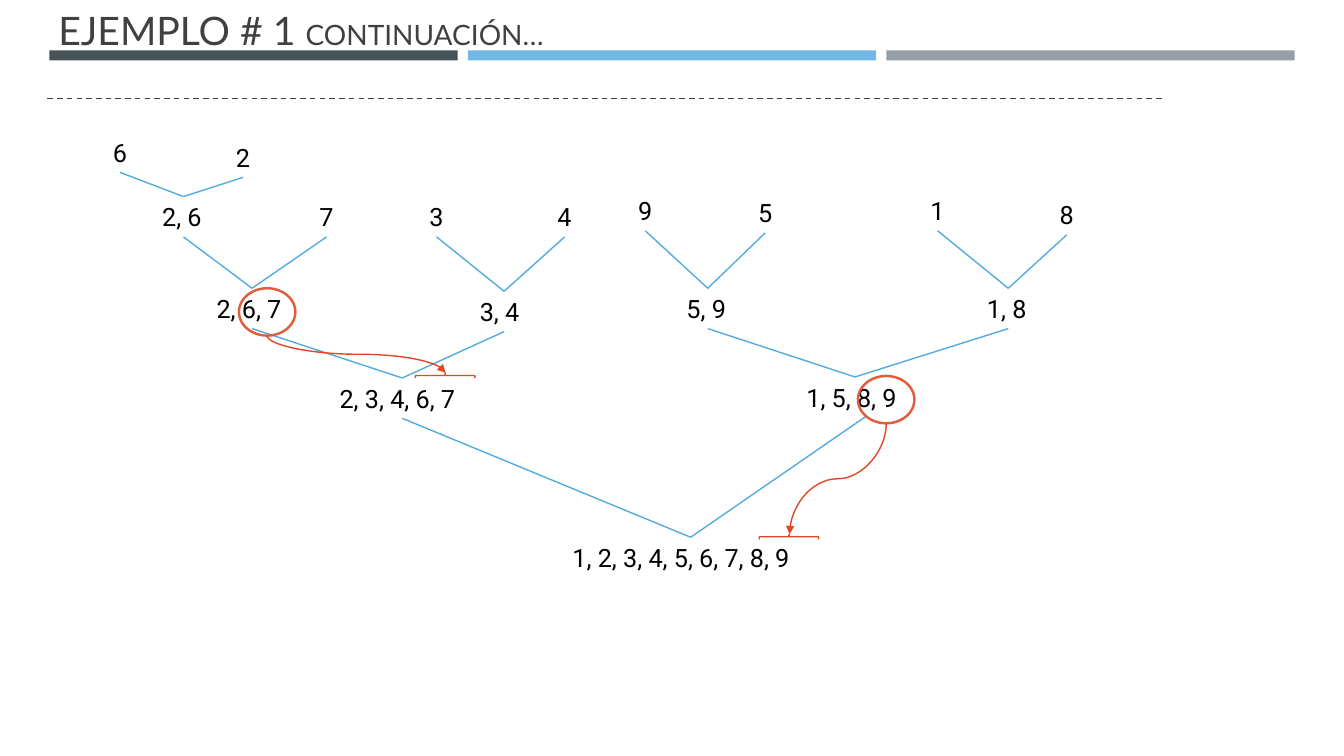
from pptx import Presentation
from pptx.dml.color import RGBColor
from pptx.enum.dml import MSO_LINE
from pptx.enum.shapes import MSO_CONNECTOR, MSO_SHAPE
from pptx.enum.text import MSO_ANCHOR, MSO_AUTO_SIZE
from pptx.oxml.ns import qn
from pptx.util import Pt
from lxml.etree import SubElement

PX = 9144
theme = {
    "title": {"name": "Lato", "size": Pt(28), "color": "404040"},
    "sub": {"name": "Lato", "size": Pt(20), "color": "404040"},
    "node": {"name": "Roboto", "size": Pt(18), "color": "000000"},
    "bars": ["465359", "71B9E4", "969FA7"],
    "rule": {"color": "404040", "width": Pt(1), "dash_style": MSO_LINE.DASH},
    "edge": {"color": "54ABDF", "width": Pt(1)},
    "ring": {"color": "E25D3C", "width": Pt(1.75)},
    "mark": {"color": "DE4823", "width": Pt(1)},
}


def style(item, form):
    for key, value in form.items():
        if key == "color":
            item.color.rgb = RGBColor.from_string(value)
        else:
            setattr(item, key, value)


def link(kind, ends, form):
    line = slide.shapes.add_connector(kind, *[n * PX for n in ends])
    style(line.line, form)
    SubElement(line._element.spPr, qn("a:effectLst"))
    return line


deck = Presentation()
deck.slide_width, deck.slide_height = 1333 * PX, 750 * PX
slide = deck.slides.add_slide(deck.slide_layouts[6])

for i, color in enumerate(theme["bars"]):
    bar = slide.shapes.add_shape(
        MSO_SHAPE.RECTANGLE, (49 + 415 * i) * PX, 50 * PX, 405 * PX, 10 * PX)
    bar.shadow.inherit = False
    bar.fill.solid()
    bar.fill.fore_color.rgb = RGBColor.from_string(color)
    bar.line.fill.background()

head = slide.shapes.add_textbox(48 * PX, -8 * PX, 1206 * PX, 66 * PX).text_frame
style(head, {"word_wrap": True, "vertical_anchor": MSO_ANCHOR.BOTTOM})
for text, form in [("EJEMPLO # 1 ", "title"), ("CONTINUACIÓN…", "sub")]:
    run = head.paragraphs[0].add_run()
    run.text = text
    style(run.font, {k: v for k, v in theme[form].items() if k != "color"})
    run.font.color.rgb = RGBColor.from_string(theme[form]["color"])

link(MSO_CONNECTOR.STRAIGHT, (47, 98, 1155, 98), theme["rule"])

nodes = {
    "6": (102, 131, 35),
    "2": (224, 136, 35),
    "7": (307, 195, 35),
    "3": (416, 195, 35),
    "4": (543, 195, 35),
    "9": (623, 189, 35),
    "5": (742, 191, 35),
    "1": (913, 189, 35),
    "8": (1041, 193, 35),
    "2, 6": (151, 195, 62),
    "2, 6, 7": (205, 286, 90),
    "3, 4": (466, 289, 69),
    "5, 9": (671, 286, 62),
    "1, 8": (969, 286, 62),
    "2, 3, 4, 6, 7": (327, 375, 144),
    "1, 5, 8, 9": (790, 374, 117),
    "1, 2, 3, 4, 5, 6, 7, 8, 9": (558, 533, 254),
}
tops, feet = {}, {}
for text, (x, y, wide) in nodes.items():
    frame = slide.shapes.add_textbox(x * PX, y * PX, wide * PX, 40 * PX).text_frame
    style(frame, {"word_wrap": False, "auto_size": MSO_AUTO_SIZE.SHAPE_TO_FIT_TEXT})
    run = frame.paragraphs[0].add_run()
    run.text = text
    style(run.font, theme["node"])
    tops[text] = (x + wide // 2, y)
    feet[text] = (x + wide // 2, y + 40)
feet["1, 5, 8, 9"] = (859, 413)

merges = [
    ("6", "2", "2, 6"),
    ("2, 6", "7", "2, 6, 7"),
    ("3", "4", "3, 4"),
    ("9", "5", "5, 9"),
    ("1", "8", "1, 8"),
    ("2, 6, 7", "3, 4", "2, 3, 4, 6, 7"),
    ("5, 9", "1, 8", "1, 5, 8, 9"),
    ("2, 3, 4, 6, 7", "1, 5, 8, 9", "1, 2, 3, 4, 5, 6, 7, 8, 9"),
]
for left, right, join in merges:
    for part in (left, right):
        link(MSO_CONNECTOR.STRAIGHT, feet[part] + tops[join], theme["edge"])

marks = [
    (MSO_SHAPE.OVAL, (237, 286, 56, 47), 0, "ring"),
    (MSO_SHAPE.OVAL, (851, 373, 56, 47), 0, "ring"),
    (MSO_SHAPE.LEFT_BRACE, (439, 343, 5, 59), 90, "mark"),
    (MSO_SHAPE.LEFT_BRACE, (780, 503, 5, 59), 90, "mark"),
]
for kind, box, turn, form in marks:
    mark = slide.shapes.add_shape(kind, *[n * PX for n in box])
    mark.rotation = turn
    mark.shadow.inherit = False
    mark.fill.background()
    style(mark.line, theme[form])

for ends, turn in [((372, 263, 335, 440), 270), ((776, 427, 886, 523), 90)]:
    curve = link(MSO_CONNECTOR.CURVE, ends, theme["mark"])
    curve._element.spPr.find(qn("a:xfrm")).set("rot", str(turn * 60000))
    SubElement(curve.line._get_or_add_ln(), qn("a:tailEnd")).set("type", "triangle")

deck.save("out.pptx")
